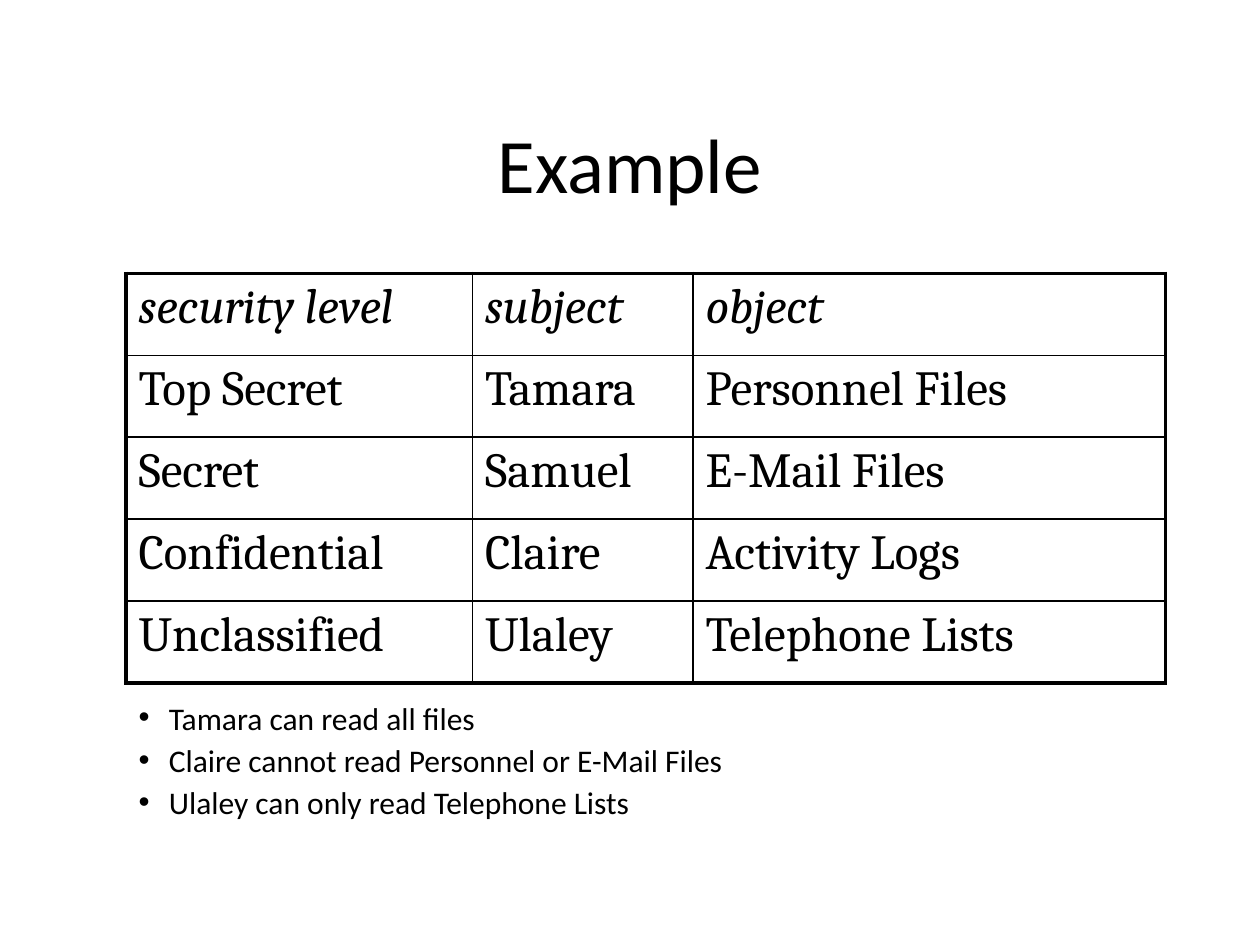
from dataclasses import dataclass

from lxml import etree
from pptx import Presentation
from pptx.dml.color import RGBColor
from pptx.enum.text import MSO_ANCHOR, MSO_AUTO_SIZE, PP_ALIGN
from pptx.oxml.ns import qn
from pptx.util import Inches, Pt

CENTER = PP_ALIGN.CENTER
LEFT = PP_ALIGN.LEFT
MIDDLE = MSO_ANCHOR.MIDDLE
TOP = MSO_ANCHOR.TOP
NO_AUTOFIT = MSO_AUTO_SIZE.NONE


@dataclass(frozen=True)
class Theme:
    ink: str = "000000"
    heading_font: str = "Calibri"
    table_font: str = "Cambria"
    title_size: float = 44
    table_size: float = 28
    list_size: float = 18
    inner_line: float = 1
    outer_line: float = 2.25


THEME = Theme()
LEFT_EDGE = 1
TABLE_TOP = 2.17
COLUMN_WIDTHS = [2.75, 1.75, 3.75]
ROW_HEIGHT = 0.65
BULLET_INDENT = 0.24

CLEARANCES = [
    ["security level", "subject", "object"],
    ["Top Secret", "Tamara", "Personnel Files"],
    ["Secret", "Samuel", "E-Mail Files"],
    ["Confidential", "Claire", "Activity Logs"],
    ["Unclassified", "Ulaley", "Telephone Lists"],
]
CONCLUSIONS = [
    "Tamara can read all files",
    "Claire cannot read Personnel or E-Mail Files",
    "Ulaley can only read Telephone Lists",
]


def write(paragraph, text, *, font, size, italic=False, align=LEFT,
          line_spacing=None, space_before=0):
    paragraph.text = text
    paragraph.alignment = align
    paragraph.line_spacing = line_spacing
    paragraph.space_before = Pt(space_before)
    paragraph.font.name = font
    paragraph.font.size = Pt(size)
    paragraph.font.italic = italic
    paragraph.font.color.rgb = RGBColor.from_string(THEME.ink)


def place(placeholder, left, top, width, height, anchor):
    placeholder.left, placeholder.top = Inches(left), Inches(top)
    placeholder.width, placeholder.height = Inches(width), Inches(height)
    frame = placeholder.text_frame
    frame.word_wrap = True
    frame.auto_size = NO_AUTOFIT
    frame.vertical_anchor = anchor
    return frame


def add_bullet(paragraph):
    properties = paragraph._p.get_or_add_pPr()
    properties.set("marL", str(Inches(BULLET_INDENT)))
    properties.set("indent", str(-Inches(BULLET_INDENT)))
    etree.SubElement(properties, qn("a:buFont"), typeface="Arial")
    etree.SubElement(properties, qn("a:buChar"), char="•")


def add_borders(cell, outer_sides):
    properties = cell._tc.get_or_add_tcPr()
    for side in "LRTB":
        weight = THEME.outer_line if side in outer_sides else THEME.inner_line
        border = etree.SubElement(properties, qn(f"a:ln{side}"), w=str(Pt(weight)))
        fill = etree.SubElement(border, qn("a:solidFill"))
        etree.SubElement(fill, qn("a:srgbClr"), val=THEME.ink)


def add_title(slide):
    frame = place(slide.shapes.title, 0.75, 0.67, 8.5, 1.25, MIDDLE)
    write(frame.paragraphs[0], "Example", font=THEME.heading_font,
          size=THEME.title_size, align=CENTER)


def add_clearance_table(slide):
    last_row, last_column = len(CLEARANCES) - 1, len(COLUMN_WIDTHS) - 1
    table = slide.shapes.add_table(
        len(CLEARANCES), len(COLUMN_WIDTHS), Inches(LEFT_EDGE), Inches(TABLE_TOP),
        Inches(sum(COLUMN_WIDTHS)), Inches(ROW_HEIGHT * len(CLEARANCES))).table
    table.first_row = False
    table.horz_banding = False
    for column, width in zip(table.columns, COLUMN_WIDTHS):
        column.width = Inches(width)
    for r, entries in enumerate(CLEARANCES):
        table.rows[r].height = Inches(ROW_HEIGHT)
        for c, entry in enumerate(entries):
            cell = table.cell(r, c)
            write(cell.text_frame.paragraphs[0], entry, font=THEME.table_font,
                  size=THEME.table_size, italic=r == 0)
            edges = {"L": c == 0, "R": c == last_column,
                     "T": r == 0, "B": r == last_row}
            add_borders(cell, [side for side, outer in edges.items() if outer])
            cell.fill.background()


def add_conclusions(slide):
    frame = place(slide.placeholders[1], LEFT_EDGE, 5.58, 8.23, 1.34, TOP)
    for i, conclusion in enumerate(CONCLUSIONS):
        paragraph = frame.add_paragraph() if i else frame.paragraphs[0]
        add_bullet(paragraph)
        write(paragraph, conclusion, font=THEME.heading_font, size=THEME.list_size,
              line_spacing=0.7, space_before=THEME.list_size / 2 if i else 0)


def main():
    deck = Presentation()
    deck.slide_width, deck.slide_height = Inches(10), Inches(7.5)
    slide = deck.slides.add_slide(deck.slide_layouts[1])
    add_title(slide)
    add_clearance_table(slide)
    add_conclusions(slide)
    deck.save("out.pptx")


if __name__ == "__main__":
    main()
